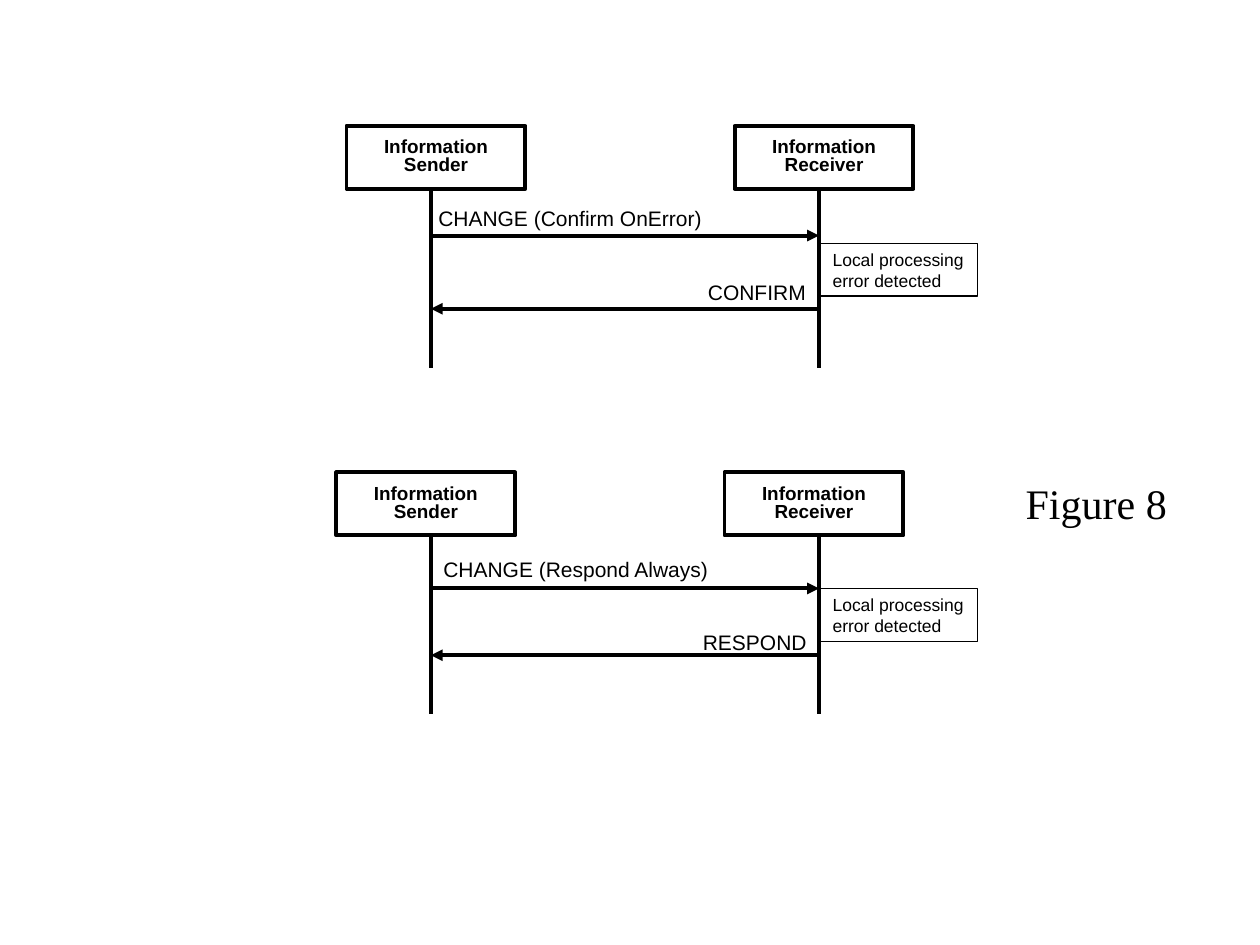
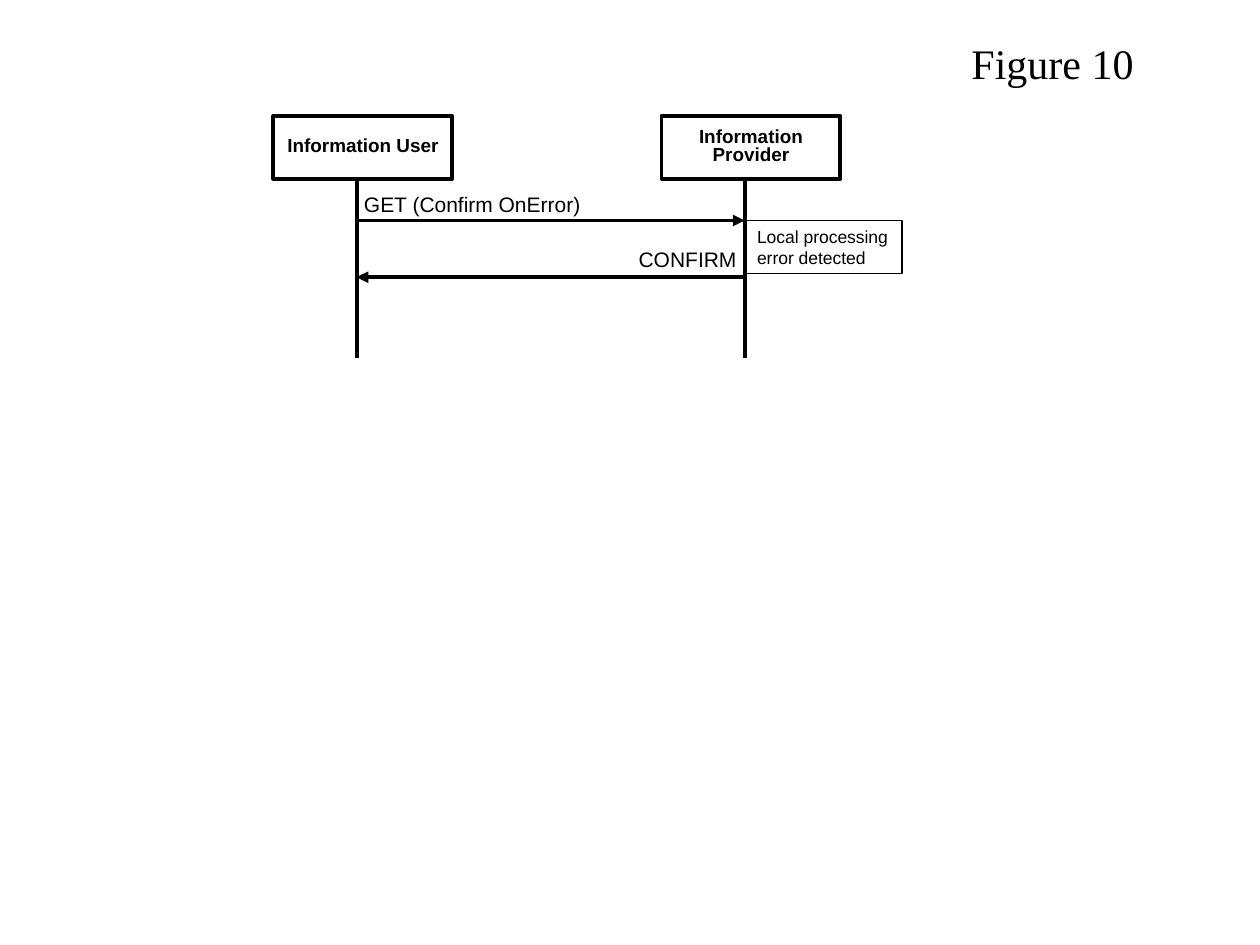
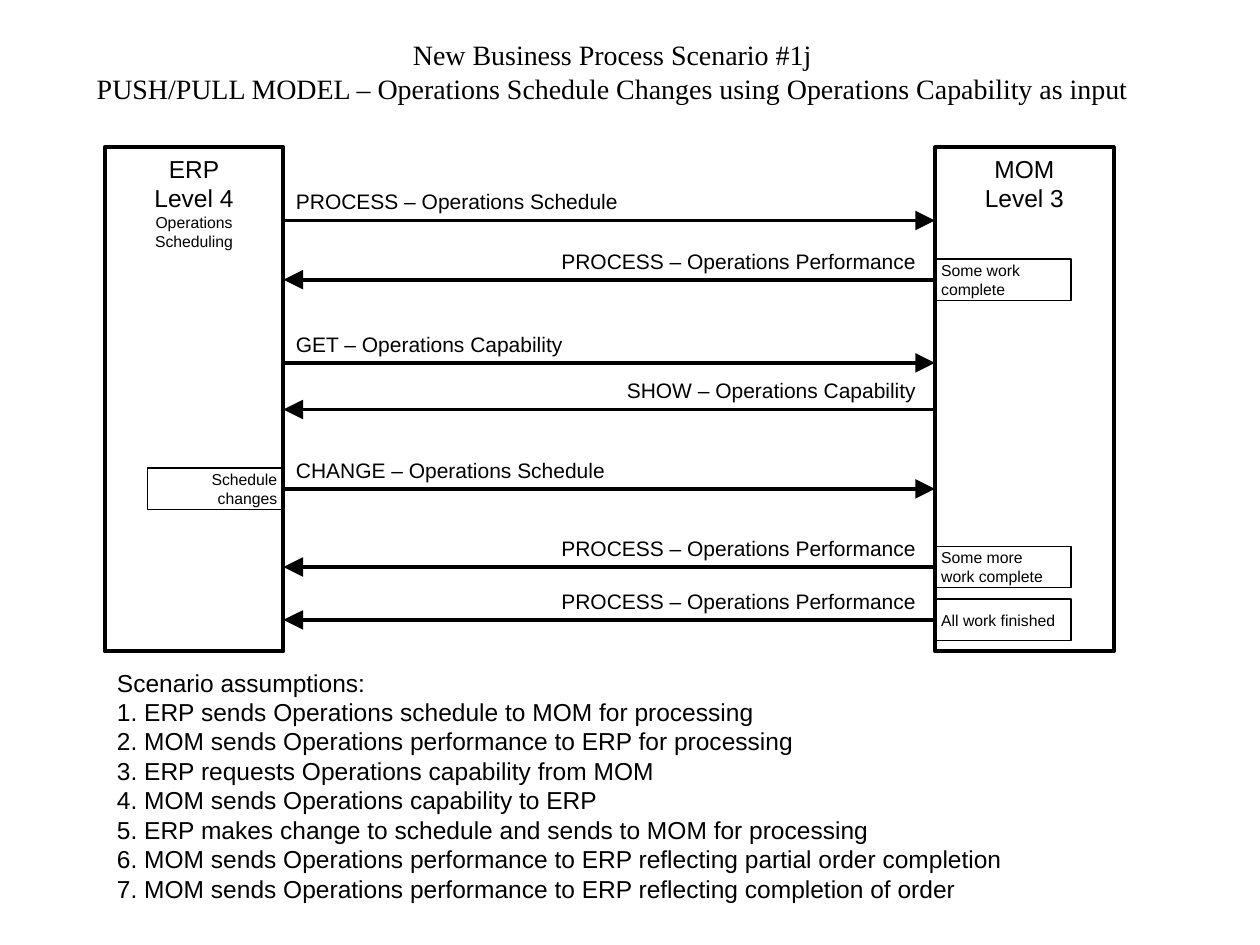
from lxml.etree import SubElement
from pptx import Presentation
from pptx.dml.color import RGBColor
from pptx.enum.shapes import MSO_CONNECTOR as LINK, MSO_SHAPE as SHAPE
from pptx.enum.text import MSO_ANCHOR as ANCHOR, MSO_AUTO_SIZE as AUTO, PP_ALIGN as ALIGN
from pptx.oxml.ns import qn
from pptx.util import Inches, Pt

BLACK = RGBColor(0, 0, 0)
WHITE = RGBColor(255, 255, 255)
SANS, SERIF = "Arial", "Times New Roman"
THICK, THIN = 2.25, 0.75
LEFT, MID, RIGHT = ALIGN.LEFT, ALIGN.CENTER, ALIGN.RIGHT
HEAD_W, HEAD_H = 1.42, 0.5
SPAN, LIFE_H = 3.08, 1.42
NOTE_W, NOTE_H = 1.25, 0.42
TAG_W, TAG_H = 1.08, 0.33
LABEL_H = 0.3


def write(shape, text, size, align=LEFT, anchor=ANCHOR.TOP, face=SANS,
          bold=False, wrap=True, fit=AUTO.NONE, pad=0.1, space=None):
    """Fill a shape with formatted paragraphs, one per line of text."""
    frame = shape.text_frame
    frame.text = text
    look = dict(word_wrap=wrap, auto_size=fit, vertical_anchor=anchor,
                margin_left=Inches(pad), margin_right=Inches(pad),
                margin_top=Inches(0.05), margin_bottom=Inches(0.05))
    for name, value in look.items():
        setattr(frame, name, value)
    for para in frame.paragraphs:
        para.alignment, para.line_spacing = align, space
        for run in para.runs:
            for name, value in dict(name=face, size=Pt(size), bold=bold).items():
                setattr(run.font, name, value)
            run.font.color.rgb = BLACK


def block(slide, box, width, text, size, fill=WHITE, **style):
    """Add an outlined rectangle with text."""
    rect = slide.shapes.add_shape(SHAPE.RECTANGLE, *map(Inches, box))
    rect.shadow.inherit = False
    if fill is None:
        rect.fill.background()
    else:
        rect.fill.solid()
        rect.fill.fore_color.rgb = fill
    rect.line.color.rgb = BLACK
    rect.line.width = Pt(width)
    write(rect, text, size, **style)
    return rect


def label(slide, box, text, size=12, **style):
    """Add a plain text box."""
    write(slide.shapes.add_textbox(*map(Inches, box)), text, size, **style)


def line(slide, start, end, tip=None):
    """Add a thick line, with an arrowhead of the given size at its end."""
    link = slide.shapes.add_connector(LINK.STRAIGHT, *map(Inches, start + end))
    link.line.color.rgb = BLACK
    link.line.width = Pt(THICK)
    if tip:
        SubElement(link.line._get_or_add_ln(), qn("a:tailEnd"),
                   type="triangle", w=tip, len=tip)
    SubElement(link._element.spPr, qn("a:effectLst"))
    return link


def start(deck, box, text, size, **style):
    """Add a title-only slide with its title placed and formatted."""
    slide = deck.slides.add_slide(deck.slide_layouts[5])
    title = slide.shapes.title
    title.left, title.top, title.width, title.height = map(Inches, box)
    write(title, text, size, face=SERIF, fit=AUTO.SHAPE_TO_FIT_TEXT, **style)
    return slide


def sequence(slide, left, top, names, shift, call, reply, note):
    """Draw a two-party exchange from the first lifeline's x and the heads' top."""
    far = left + SPAN
    note_x, note_y = note
    block(slide, (far + note_x, top + note_y, NOTE_W, NOTE_H), THIN,
          "Local processing\nerror detected", 10, anchor=ANCHOR.MIDDLE, wrap=False)
    for x in (left, far):
        line(slide, (x, top + HEAD_H), (x, top + HEAD_H + LIFE_H))

    text, y, dx, rise, width = call
    line(slide, (left, top + y), (far, top + y), "med")
    label(slide, (left + dx, top + y - rise, width, LABEL_H), text, wrap=False)

    text, y, dx, rise, width = reply
    line(slide, (far, top + y), (left, top + y), "med")
    label(slide, (far + dx - width, top + y - rise, width, LABEL_H), text, wrap=False)

    for x, name in zip((left, far), names):
        block(slide, (x - shift, top, HEAD_W, HEAD_H), THICK, name, 10.8,
              align=MID, anchor=ANCHOR.MIDDLE, bold=True, space=0.8)


def scenario(slide, box, steps):
    """Draw two systems at the sides of the box and the messages between them."""
    left, top, width, height = box
    near, far = left + HEAD_W, left + width - HEAD_W
    erp = block(slide, (left, top, HEAD_W, height), THICK,
                "ERP\nLevel 4\nOperations Scheduling", 14, align=MID)
    erp.text_frame.paragraphs[-1].runs[0].font.size = Pt(9)
    block(slide, (far, top, HEAD_W, height), THICK, "MOM\nLevel 3", 14, align=MID)
    for y, push, text, wide, tag in steps:
        y += top
        ends = (near, y), (far, y)
        arrow = line(slide, *(ends if push else ends[::-1]), "lg")
        x = near if push else far - 0.05 - wide
        label(slide, (x, y - LABEL_H, wide, LABEL_H), text,
              align=LEFT if push else RIGHT, wrap=False)
        if tag:
            x = near - TAG_W if push else far
            rect = block(slide, (x, y - TAG_H / 2, TAG_W, TAG_H), THIN, tag, 9,
                         fill=None, align=RIGHT if push else LEFT,
                         anchor=ANCHOR.MIDDLE, wrap=False, pad=0.05)
            arrow.begin_connect(rect, 3 if push else 1)


def main():
    """Build the three slides and save them."""
    deck = Presentation()
    deck.slide_width, deck.slide_height = Inches(10), Inches(7.5)

    slide = start(deck, (8.04, 3.74, 1.75, 0.5), "Figure 8", 24)
    pair = "Information Sender", "Information Receiver"
    sequence(slide, 3.42, 1, pair, 0.67,
             ("CHANGE (Confirm OnError)", 0.87, -0.04, 0.29, 2.29),
             ("CONFIRM", 1.45, 0, 0.28, 0.98), (0.01, 0.93))
    sequence(slide, 3.42, 3.75, pair, 0.75,
             ("CHANGE (Respond Always)", 0.92, 0, 0.3, 2.31),
             ("RESPOND", 1.45, 0, 0.25, 1.02), (0.01, 0.92))

    slide = start(deck, (7.61, 0.25, 1.75, 0.5), "Figure 10", 24)
    sequence(slide, 2.83, 0.92, ("Information User", "Information Provider"), 0.66,
             ("GET (Confirm OnError)", 0.83, -0.04, 0.28, 1.92),
             ("CONFIRM", 1.28, 0.04, 0.29, 0.98), (0, 0.83))

    slide = start(deck, (0.66, 0.25, 8.4, 0.64),
                  "New Business Process Scenario #1j\nPUSH/PULL MODEL – Operations "
                  "Schedule Changes using Operations Capability as input",
                  16, align=MID, wrap=False)
    report = "PROCESS – Operations Performance"
    scenario(slide, (0.83, 1.17, 8.01, 4), [
        (0.58, True, "PROCESS – Operations Schedule", 2.75, None),
        (1.05, False, report, 3.01, "Some work\ncomplete"),
        (1.71, True, "GET – Operations Capability", 2.32, None),
        (2.08, False, "SHOW – Operations Capability", 2.49, None),
        (2.71, True, "CHANGE – Operations Schedule", 2.65, "Schedule\nchanges"),
        (3.33, False, report, 3.01, "Some more\nwork complete"),
        (3.75, False, report, 3.01, "All work finished"),
    ])
    label(slide, (0.83, 5.25, 8, 2), "\n".join([
        "Scenario assumptions:",
        "1. ERP sends Operations schedule to MOM for processing",
        "2. MOM sends Operations performance to ERP for processing",
        "3. ERP requests Operations capability from MOM",
        "4. MOM sends Operations capability to ERP",
        "5. ERP makes change to schedule and sends to MOM for processing",
        "6. MOM sends Operations performance to ERP reflecting partial order completion",
        "7. MOM sends Operations performance to ERP reflecting completion of order",
    ]), 14)
    deck.save("out.pptx")


if __name__ == "__main__":
    main()
